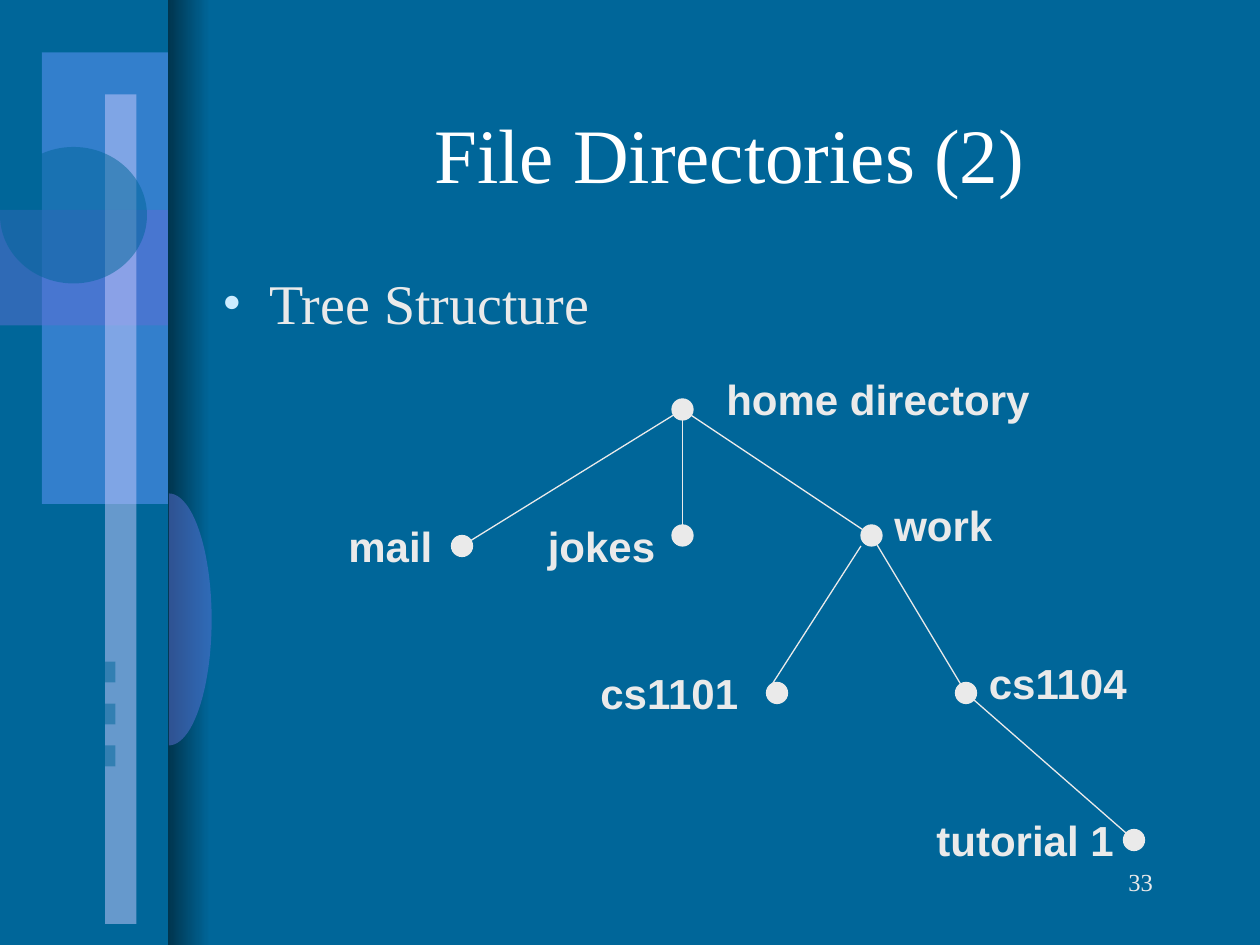
from math import cos, pi, sin

from lxml import etree
from pptx import Presentation
from pptx.dml.color import RGBColor
from pptx.enum.shapes import MSO_CONNECTOR, MSO_SHAPE
from pptx.enum.text import MSO_ANCHOR, MSO_AUTO_SIZE, PP_ALIGN
from pptx.oxml.ns import qn
from pptx.util import Pt

RECTANGLE, OVAL = MSO_SHAPE.RECTANGLE, MSO_SHAPE.OVAL
STRAIGHT = MSO_CONNECTOR.STRAIGHT
LEFT, CENTER, RIGHT = PP_ALIGN.LEFT, PP_ALIGN.CENTER, PP_ALIGN.RIGHT
TOP, MIDDLE = MSO_ANCHOR.TOP, MSO_ANCHOR.MIDDLE

TEAL = RGBColor(0x00, 0x66, 0x99)
DARK_TEAL = RGBColor(0x00, 0x35, 0x4E)
BLUE = RGBColor(0x66, 0x99, 0xFF)
VIOLET = RGBColor(0x5E, 0x6F, 0xD4)
LAVENDER = RGBColor(0xCC, 0xCC, 0xFF)
PALE_BLUE = RGBColor(0xCC, 0xEC, 0xFF)
LIGHT_GREY = RGBColor(0xEA, 0xEA, 0xEA)
WHITE = RGBColor(0xFF, 0xFF, 0xFF)

SERIF, SANS = "Times New Roman", "Arial"
DOT_SIZE = 12

# Directory name: (dot centre), (label left, top, width)
NODES = {
    "home directory": ((390, 234), (408, 210, 210)),
    "mail": ((264, 312), (192, 294, 78)),
    "jokes": ((390, 306), (306, 294, 78)),
    "work": ((498, 306), (504, 282, 78)),
    "cs1101": ((444, 396), (336, 378, 102)),
    "cs1104": ((552, 396), (558, 372, 102)),
    "tutorial 1": ((648, 480), (528, 462, 132)),
}
# Parent, child, shift of the start, shift of the end
BRANCHES = [
    ("home directory", "mail", (0, 0), (0, 0)),
    ("home directory", "jokes", (0, 0), (0, 0)),
    ("home directory", "work", (0, 0), (0, 0)),
    ("work", "cs1101", (-6, 6), (-6, 0)),
    ("work", "cs1104", (0, 0), (0, 0)),
    ("cs1104", "tutorial 1", (0, 0), (0, 0)),
]


def points(*lengths):
    return [Pt(length) for length in lengths]


def write(box, text, size=24, font=SANS, color=LIGHT_GREY, bold=False,
          align=LEFT, anchor=TOP):
    frame = box.text_frame
    frame.word_wrap = True
    frame.auto_size = MSO_AUTO_SIZE.NONE
    frame.vertical_anchor = anchor
    para = frame.paragraphs[0]
    para.alignment = align
    span = para.add_run()
    span.text = text
    span.font.size = Pt(size)
    span.font.name = font
    span.font.bold = bold
    span.font.color.rgb = color
    return para


def add_text(page, place, text, **style):
    return write(page.shapes.add_textbox(*points(*place)), text, **style)


def add_bullet(para, color, indent):
    props = para._p.get_or_add_pPr()
    props.set("marL", str(Pt(indent)))
    props.set("indent", str(-Pt(indent)))
    bullet_color = etree.SubElement(props, qn("a:buClr"))
    etree.SubElement(bullet_color, qn("a:srgbClr"), val=str(color))
    etree.SubElement(props, qn("a:buFont"), typeface=SERIF)
    etree.SubElement(props, qn("a:buChar"), char="•")


def paint(shape, color, opacity=100):
    shape.shadow.inherit = False
    shape.line.fill.background()
    shape.fill.solid()
    shape.fill.fore_color.rgb = color
    if opacity < 100:
        value = shape.fill._xPr.find(".//" + qn("a:srgbClr"))
        etree.SubElement(value, qn("a:alpha"), val=str(opacity * 1000))


def add_shape(page, kind, place, color, opacity=100):
    shape = page.shapes.add_shape(kind, *points(*place))
    paint(shape, color, opacity)
    return shape


def add_half_disc(page, center_x=96.5, center_y=354, width=24.5, radius=72, steps=48):
    angles = [pi * step / steps - pi / 2 for step in range(steps + 1)]
    outline = [(center_x + width * cos(angle), center_y + radius * sin(angle))
               for angle in angles]
    builder = page.shapes.build_freeform(*outline[0], scale=float(Pt(1)))
    builder = page.shapes.build_freeform(
        *points(*outline[0]), scale=1.0)
    builder.add_line_segments([points(*corner) for corner in outline[1:]], close=True)
    paint(builder.convert_to_shape(), VIOLET, 50)


def add_side_decoration(page):
    shade = add_shape(page, RECTANGLE, (96, 0, 24, 540), TEAL)
    shade.fill.gradient()
    shade.fill.gradient_angle = 0
    for stop, color in zip(shade.fill.gradient_stops, (DARK_TEAL, TEAL)):
        stop.color.rgb = color
    add_shape(page, RECTANGLE, (24, 30, 72, 258), BLUE, 50)
    add_shape(page, RECTANGLE, (0, 120, 96, 66), VIOLET, 50)
    add_shape(page, RECTANGLE, (60, 54, 18, 474), LAVENDER, 50)
    add_shape(page, OVAL, (0, 84, 84, 78), TEAL, 50)
    for row in range(3):
        add_shape(page, RECTANGLE, (0, 378 + 24 * row, 66, 12), TEAL, 50)
    add_half_disc(page)


def add_branch(page, start, end):
    line = page.shapes.add_connector(STRAIGHT, *points(*start, *end))
    line.line.color.rgb = LIGHT_GREY
    line.line.width = Pt(0.75)
    etree.SubElement(line._element.spPr, qn("a:effectLst"))


def add_node(page, name, center, label):
    x, y = center
    corner = (x - DOT_SIZE / 2, y - DOT_SIZE / 2)
    dot = add_shape(page, OVAL, (*corner, DOT_SIZE, DOT_SIZE), LIGHT_GREY)
    dot.line.color.rgb = LIGHT_GREY
    dot.line.width = Pt(0.75)
    add_text(page, (*label, 36), name, bold=True)


def add_tree(page):
    for parent, child, start_shift, end_shift in BRANCHES:
        start = map(sum, zip(NODES[parent][0], start_shift))
        end = map(sum, zip(NODES[child][0], end_shift))
        add_branch(page, start, end)
    for name, (center, label) in NODES.items():
        add_node(page, name, center, label)


def main():
    deck = Presentation()
    deck.slide_width, deck.slide_height = points(720, 540)
    page = deck.slides.add_slide(deck.slide_layouts.get_by_name("Title Only"))
    page.background.fill.solid()
    page.background.fill.fore_color.rgb = TEAL
    add_side_decoration(page)

    title = page.shapes.title
    title.left, title.top, title.width, title.height = points(120, 42, 594, 90)
    write(title, "File Directories (2)", size=44, font=SERIF, color=WHITE,
          align=CENTER, anchor=MIDDLE)
    topic = add_text(page, (120, 150, 594, 324), "Tree Structure", size=32, font=SERIF)
    add_bullet(topic, PALE_BLUE, 27)
    add_tree(page)
    add_text(page, (516, 492, 150, 36), "33", size=14, font=SERIF, align=RIGHT)
    deck.save("out.pptx")


if __name__ == "__main__":
    main()
